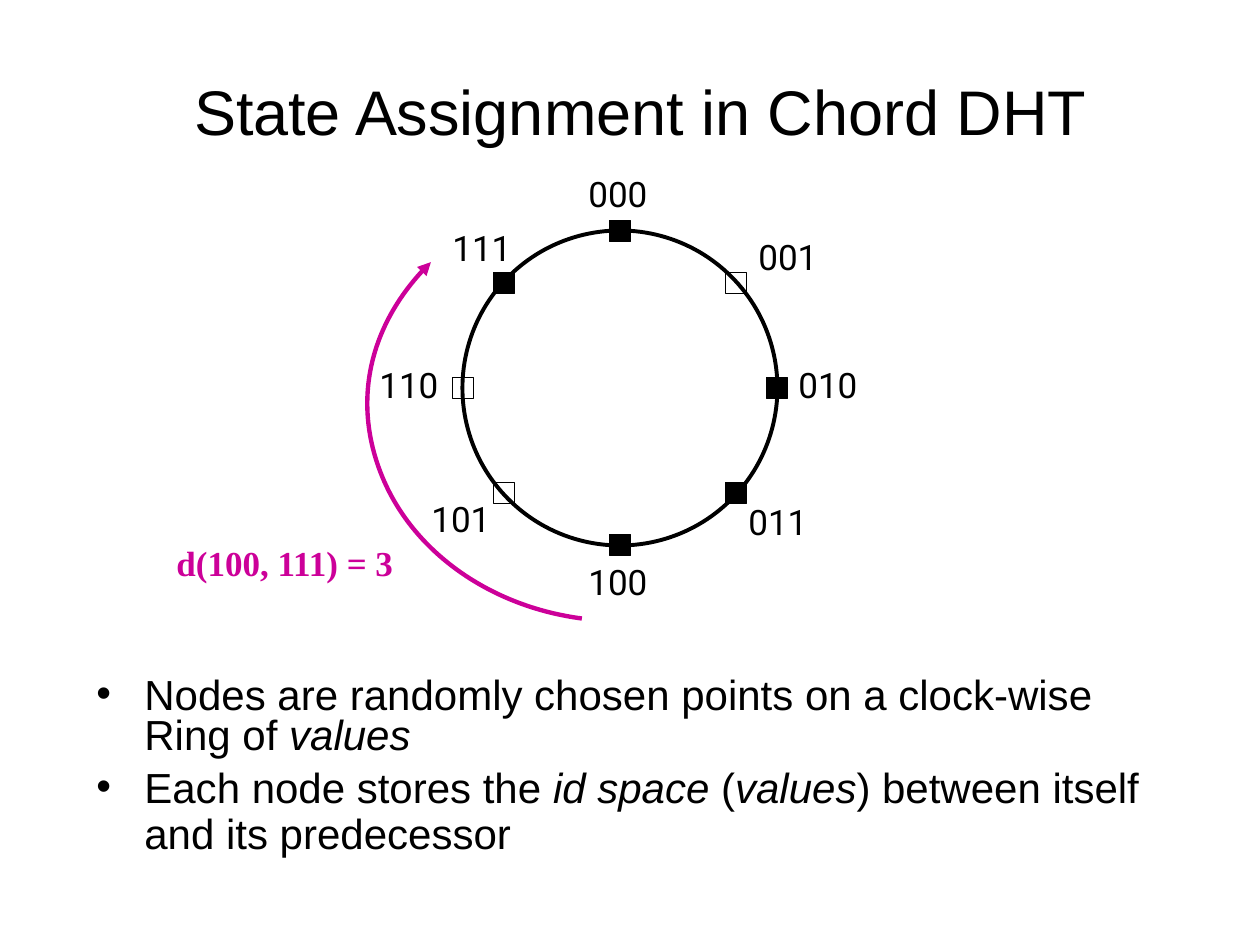
from math import cos, sin, tan, radians

from lxml.etree import SubElement
from pptx import Presentation
from pptx.dml.color import RGBColor
from pptx.enum.shapes import MSO_SHAPE as Shape
from pptx.enum.text import MSO_ANCHOR as Anchor, PP_ALIGN as Align
from pptx.oxml.ns import qn
from pptx.util import Pt

BLACK = RGBColor(0x00, 0x00, 0x00)
MAGENTA = RGBColor(0xCC, 0x00, 0x99)

# Content: a paragraph is a list of (text, format) runs
TITLE = "State Assignment in Chord DHT"
DISTANCE = "d(100, 111) = 3"
ITALIC = {"italic": True}
BULLETS = [
    [("Nodes are randomly chosen points on a clock-wise Ring of ", {}),
     ("values", ITALIC)],
    [("Each node stores the ", {}), ("id space", ITALIC), (" (", {}),
     ("values", ITALIC), (") between itself and its predecessor", {}),
     (" ", {"size": 28})],
]

# Ring geometry in px; node offsets are from the ring centre
RING_X, RING_Y, RING_SIZE, NODE_SIZE = 620, 388, 315, 21
EDGE, DIAG_X, DIAG_Y = 157, 116, 105
NODES = [  # label, filled, offset x, offset y, label left, label top
    ("000", True, 0, -EDGE, 576, 166),
    ("001", False, DIAG_X, -DIAG_Y, 746, 229),
    ("010", True, EDGE, 0, 786, 357),
    ("011", True, DIAG_X, DIAG_Y, 736, 494),
    ("100", True, 0, EDGE, 576, 554),
    ("101", False, -DIAG_X, DIAG_Y, 419, 491),
    ("110", False, -EDGE, 0, 367, 357),
    ("111", True, -DIAG_X, -DIAG_Y, 440, 220),
]

# Distance arrow: part of an ellipse, angles in degrees clockwise from the right
ARC_X, ARC_Y, ARC_RX, ARC_RY = 620, 405, 252, 216
ARC_START, ARC_END, ARC_PARTS = 98.7, 221.4, 2

prs = Presentation()


def px(n):
    return round(n * 914400 / 126)


prs.slide_width, prs.slide_height = px(1260), px(945)
s = prs.slides.add_slide(prs.slide_layouts[6])


def add_text(paragraphs, x, y, w, h, size=20, font="Arial", color=BLACK, bold=False,
             align=Align.LEFT, anchor=Anchor.TOP, wrap=True, bullet=False,
             spacing=None, gap=0):
    if isinstance(paragraphs, str):
        paragraphs = [[(paragraphs, {})]]
    tf = s.shapes.add_textbox(px(x), px(y), px(w), px(h)).text_frame
    tf.word_wrap, tf.vertical_anchor = wrap, anchor
    for i, runs in enumerate(paragraphs):
        p = tf.add_paragraph() if i else tf.paragraphs[0]
        p.alignment = align
        if spacing:
            p.line_spacing = spacing
        if i and gap:
            p.space_before = Pt(gap)
        if bullet:
            pPr = p._p.get_or_add_pPr()
            pPr.set("marL", str(px(48)))
            pPr.set("indent", str(px(-48)))
            SubElement(pPr, qn("a:buFont"), typeface="Arial")
            SubElement(pPr, qn("a:buChar"), char="•")
        for text, fmt in runs:
            r = p.add_run()
            r.text = text
            r.font.name, r.font.bold = font, bold
            r.font.size = Pt(fmt.get("size", size))
            r.font.italic = fmt.get("italic", False)
            r.font.color.rgb = color


def style(sp, line, width, fill=None):
    sp.shadow.inherit = False
    sp.line.color.rgb, sp.line.width = line, Pt(width)
    if fill is None:
        sp.fill.background()
    else:
        sp.fill.solid()
        sp.fill.fore_color.rgb = fill


def add_centred(kind, x, y, size, width, fill=None):
    sp = s.shapes.add_shape(kind, px(x - size / 2), px(y - size / 2), px(size), px(size))
    style(sp, BLACK, width, fill)


def add_arc_arrow():
    step = radians(ARC_END - ARC_START) / ARC_PARTS
    k = 4 / 3 * tan(step / 4)

    def point(angle, pull=0):
        return (px(ARC_X + ARC_RX * (cos(angle) - pull * sin(angle))),
                px(ARC_Y + ARC_RY * (sin(angle) + pull * cos(angle))))

    start = radians(ARC_START)
    controls = []
    for i in range(ARC_PARTS):
        a = start + i * step
        controls += [point(a, k), point(a + step, -k), point(a + step)]
    builder = s.shapes.build_freeform(*point(start))
    builder.add_line_segments(controls, close=False)
    sp = builder.convert_to_shape()
    style(sp, MAGENTA, 2.5)

    # Turn each three straight segments into one cubic curve
    segments = list(sp._element.iter(qn("a:lnTo")))
    for i in range(0, len(segments), 3):
        first, *others = segments[i:i + 3]
        first.tag = qn("a:cubicBezTo")
        for other in others:
            first.append(other[0])
            other.getparent().remove(other)
    SubElement(sp.line._get_or_add_ln(), qn("a:tailEnd"), type="triangle")


# Title and bullets
add_text(TITLE, 84, 31, 1113, 158, size=36, align=Align.CENTER, anchor=Anchor.MIDDLE)
add_text(BULLETS, 84, 672, 1113, 199, size=24, bullet=True, spacing=0.8, gap=7)

# Distance arrow and its label
add_arc_arrow()
add_text(DISTANCE, 164, 535, 246, 55, font="Times New Roman", color=MAGENTA,
         bold=True, wrap=False)

# Ring, nodes and node labels
add_centred(Shape.OVAL, RING_X, RING_Y, RING_SIZE, 2.25)
for label, filled, dx, dy, left, top in NODES:
    add_centred(Shape.RECTANGLE, RING_X + dx, RING_Y + dy, NODE_SIZE, 0.75,
                BLACK if filled else None)
    add_text(label, left, top, 86, 55, font="Roboto", wrap=False)

prs.save("out.pptx")
